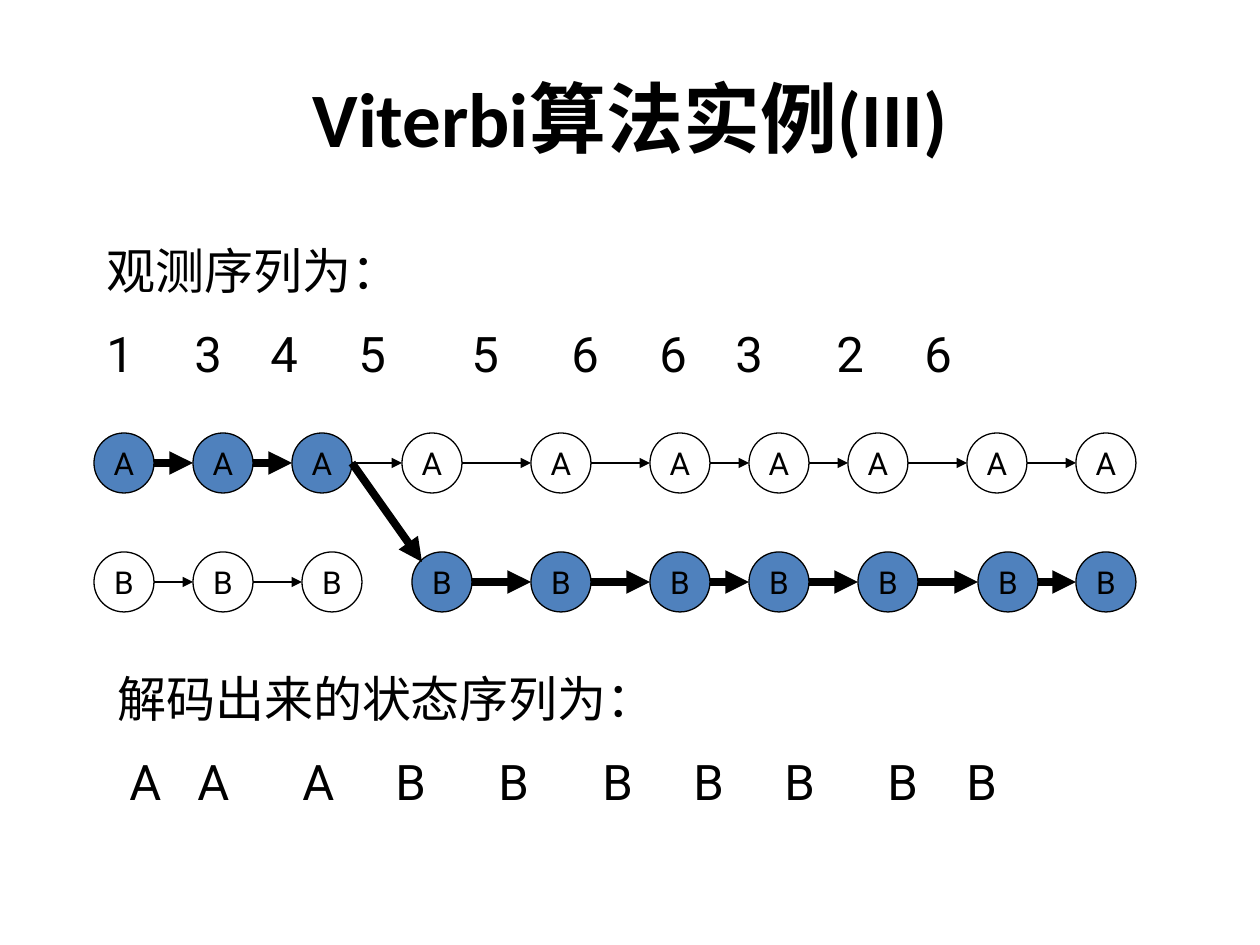
"""Build the Viterbi decoding example slide."""
from lxml import etree
from pptx import Presentation
from pptx.dml.color import RGBColor
from pptx.enum.shapes import MSO_CONNECTOR, MSO_SHAPE
from pptx.enum.text import MSO_ANCHOR, MSO_AUTO_SIZE, PP_ALIGN
from pptx.oxml.ns import qn
from pptx.util import Pt

OVAL, STRAIGHT = MSO_SHAPE.OVAL, MSO_CONNECTOR.STRAIGHT
MIDDLE, CENTER = MSO_ANCHOR.MIDDLE, PP_ALIGN.CENTER
GROW = MSO_AUTO_SIZE.SHAPE_TO_FIT_TEXT

SCALE = 914400 // 126
BLACK, WHITE, BLUE = "000000", "FFFFFF", "4F81BD"
THIN, THICK = 0.75, 4.5
NODE = 60

TITLE = "Viterbi算法实例(III)"
SEQUENCES = [
    ((94, 234, 1042, 160), "观测序列为：", "1\t3\t4\t5\t5\t6\t6\t3\t2\t6",
     [88, 164, 252, 365, 465, 553, 629, 730, 818]),
    ((105, 662, 1042, 160), "解码出来的状态序列为：", "\tA\tA\tA\tB\tB\tB\tB\tB\tB\tB",
     [12, 80, 185, 278, 381, 485, 576, 667, 770, 849]),
]
STATES = [
    {"name": "B", "top": 552, "best": range(3, 10), "unlinked": {2},
     "lefts": [94, 193, 302, 412, 531, 650, 749, 858, 978, 1076]},
    {"name": "A", "top": 433, "best": range(0, 3), "unlinked": set(),
     "lefts": [94, 193, 292, 402, 531, 650, 749, 848, 967, 1076]},
]
SWITCH = (352, 463, 422, 562)


def px(*values):
    return [v * SCALE for v in values]


def rgb(value):
    return RGBColor.from_string(value)


def style(p, name, size, bold=False):
    p.font.name, p.font.size, p.font.bold = name, Pt(size), bold
    p.font.color.rgb = rgb(BLACK)


def add_box(box):
    s = slide.shapes.add_textbox(*px(*box))
    s.text_frame.word_wrap = True
    return s.text_frame


def add_tabs(p, stops):
    tabs = etree.SubElement(p._p.get_or_add_pPr(), qn("a:tabLst"))
    for stop in stops:
        etree.SubElement(tabs, qn("a:tab"), pos=str(stop * SCALE), algn="l")


def add_node(name, left, top, fill):
    s = slide.shapes.add_shape(OVAL, *px(left, top, NODE, NODE))
    s.shadow.inherit = False
    s.fill.solid()
    s.fill.fore_color.rgb = rgb(fill)
    s.line.color.rgb = rgb(BLACK)
    s.line.width = Pt(THIN)
    tf = s.text_frame
    tf.word_wrap = False
    tf.vertical_anchor = MIDDLE
    p = tf.paragraphs[0]
    p.text, p.alignment = name, CENTER
    style(p, "Roboto", 18)


def add_arrow(ends, width):
    s = slide.shapes.add_connector(STRAIGHT, *px(*ends))
    s.line.color.rgb = rgb(BLACK)
    s.line.width = Pt(width)
    etree.SubElement(s.line._get_or_add_ln(), qn("a:tailEnd"), type="triangle")
    etree.SubElement(s._element.spPr, qn("a:effectLst"))


prs = Presentation()
prs.slide_width, prs.slide_height = px(1260, 945)
slide = prs.slides.add_slide(prs.slide_layouts[6])

tf = add_box((63, 38, 1134, 157))
tf.vertical_anchor = MIDDLE
p = tf.paragraphs[0]
p.text, p.alignment = TITLE, CENTER
style(p, "Calibri", 44, True)

for box, heading, symbols, stops in SEQUENCES:
    tf = add_box(box)
    tf.auto_size = GROW
    tf.text = heading
    tf.add_paragraph().text = symbols
    for p in tf.paragraphs:
        p.space_before = Pt(14)
        style(p, "Roboto", 28)
    add_tabs(tf.paragraphs[1], stops)

for state in STATES:
    lefts, best, top = state["lefts"], state["best"], state["top"]
    for i, left in enumerate(lefts):
        add_node(state["name"], left, top, BLUE if i in best else WHITE)
    y = top + NODE // 2
    for i, (left, following) in enumerate(zip(lefts, lefts[1:])):
        if i not in state["unlinked"]:
            on_path = i in best and i + 1 in best
            add_arrow((left + NODE, y, following, y), THICK if on_path else THIN)
add_arrow(SWITCH, THICK)

prs.save("out.pptx")
